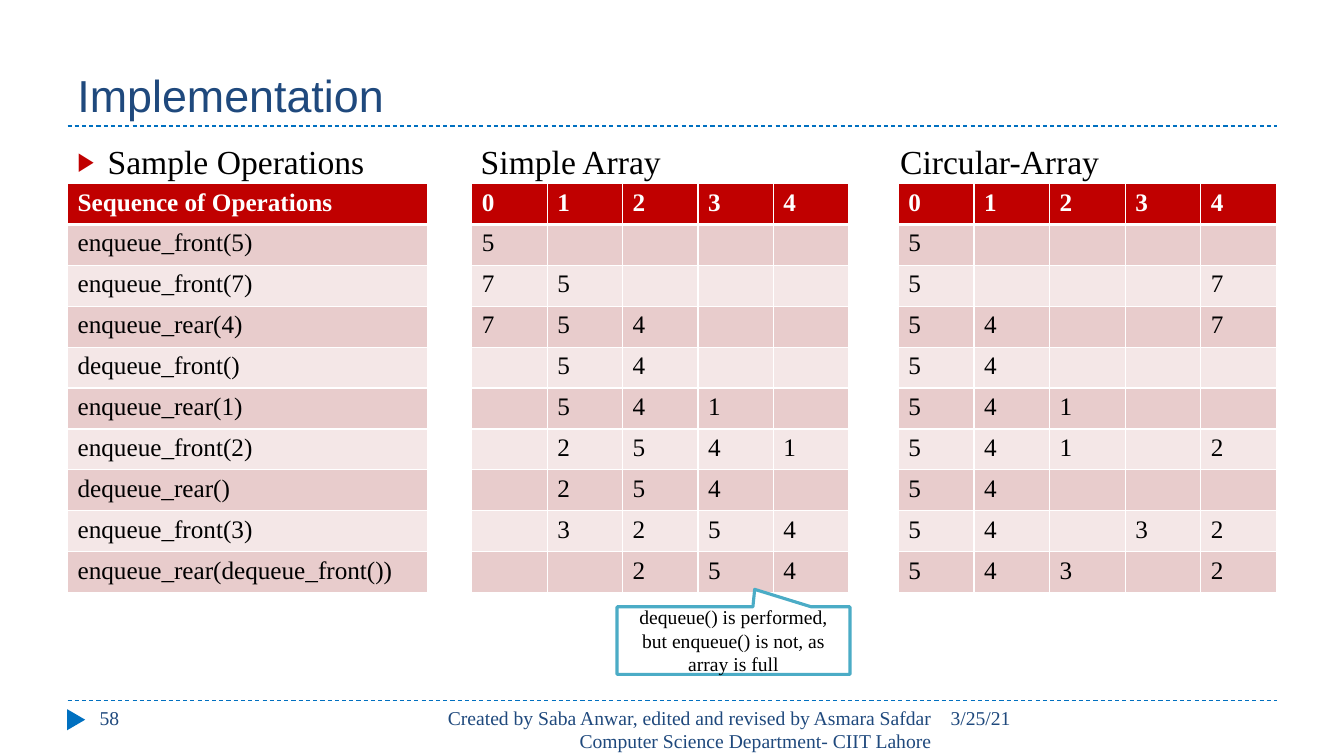
from lxml import etree
from pptx import Presentation
from pptx.dml.color import RGBColor
from pptx.enum import dml, shapes, text
from pptx.oxml import ns
from pptx.util import Inches, Pt

COLORS = {
    "navy": "1F497D", "blue": "0070C0", "red": "C00000", "teal": "4BACC6",
    "dark_band": "E8CCCC", "light_band": "F4E7E7",
    "white": "FFFFFF", "black": "000000",
}
SERIF, SANS = "Times New Roman", "Arial"
LEFT, RIGHT = 0.67, 12.67
TABLE_TOP, TABLE_HEIGHT = 1.82, 4.06
SLOTS = "01234"

OPERATIONS = [
    "enqueue_front(5)", "enqueue_front(7)", "enqueue_rear(4)",
    "dequeue_front()", "enqueue_rear(1)", "enqueue_front(2)",
    "dequeue_rear()", "enqueue_front(3)", "enqueue_rear(dequeue_front())",
]
# One string per row, one character per array slot.
SIMPLE_ARRAY = ["5    ", "75   ", "754  ", " 54  ", " 541 ",
                " 2541", " 254 ", " 3254", "  254"]
CIRCULAR_ARRAY = ["5    ", "5   7", "54  7", "54   ", "541  ",
                  "541 2", "54   ", "54 32", "543 2"]


def rgb(name):
    return RGBColor.from_string(COLORS[name])


def add_xml(parent, tag, **attributes):
    element = etree.SubElement(parent, ns.qn(tag))
    for key, value in attributes.items():
        element.set(key, str(value))
    return element


class SlideBuilder:
    def __init__(self, slide):
        self.shapes = slide.shapes

    def style(self, paragraph, size, color, font=SERIF, bold=False, align=None):
        paragraph.font.size = Pt(size)
        paragraph.font.name = font
        paragraph.font.bold = bold
        paragraph.font.color.rgb = rgb(color)
        if align is not None:
            paragraph.alignment = align

    def text(self, words, x, y, width, height, size=14, color="navy",
             font=SERIF, align=None, anchor=text.MSO_ANCHOR.TOP):
        box = self.shapes.add_textbox(
            Inches(x), Inches(y), Inches(width), Inches(height))
        frame = box.text_frame
        frame.word_wrap = True
        frame.vertical_anchor = anchor
        paragraph = frame.paragraphs[0]
        paragraph.text = words
        self.style(paragraph, size, color, font, align=align)
        return paragraph

    def headings(self, words, tabs):
        """Bulleted line whose parts stand at the given tab stops."""
        paragraph = self.text("\t".join(words), LEFT, 1.35, 12, 0.45, 24, "black")
        props = paragraph._p.get_or_add_pPr()
        props.set("marL", str(Inches(0.3)))
        props.set("indent", str(Inches(-0.3)))
        font_defaults = props.find(ns.qn("a:defRPr"))
        props.remove(font_defaults)
        add_xml(add_xml(props, "a:buClr"), "a:srgbClr", val=COLORS["red"])
        add_xml(props, "a:buSzPct", val=76000)
        add_xml(props, "a:buFont", typeface=SANS)
        add_xml(props, "a:buChar", char="▶")
        stops = add_xml(props, "a:tabLst")
        for tab in tabs:
            add_xml(stops, "a:tab", pos=Inches(tab), algn="l")
        props.append(font_defaults)

    def dashed_rule(self, y):
        rule = self.shapes.add_connector(
            shapes.MSO_CONNECTOR.STRAIGHT,
            Inches(LEFT), Inches(y), Inches(RIGHT), Inches(y))
        rule.line.color.rgb = rgb("blue")
        rule.line.width = Pt(0.75)
        rule.line.dash_style = dml.MSO_LINE.DASH
        add_xml(rule._element.spPr, "a:effectLst")

    def shape(self, kind, x, y, width, height, fill, line=None):
        shape = self.shapes.add_shape(
            kind, Inches(x), Inches(y), Inches(width), Inches(height))
        shape.shadow.inherit = False
        shape.fill.solid()
        shape.fill.fore_color.rgb = rgb(fill)
        if line:
            shape.line.color.rgb = rgb(line)
            shape.line.width = Pt(2.25)
        else:
            shape.line.fill.background()
        return shape

    def callout(self, words, x, y, width, height):
        callout = self.shape(shapes.MSO_SHAPE.RECTANGULAR_CALLOUT,
                             x, y, width, height, "white", "teal")
        callout.adjustments[0] = 0.091
        callout.adjustments[1] = -0.758
        frame = callout.text_frame
        frame.word_wrap = True
        frame.vertical_anchor = text.MSO_ANCHOR.MIDDLE
        frame.text = words
        self.style(frame.paragraphs[0], 14, "black", align=text.PP_ALIGN.CENTER)

    def cell(self, cell, words, fill, header):
        props = cell._tc.get_or_add_tcPr()
        for side in ("lnL", "lnR", "lnT", "lnB"):
            weight = 3 if header and side == "lnB" else 1
            border = add_xml(props, f"a:{side}", w=Pt(weight))
            add_xml(add_xml(border, "a:solidFill"), "a:srgbClr", val=COLORS["white"])
        cell.fill.solid()
        cell.fill.fore_color.rgb = rgb(fill)
        paragraph = cell.text_frame.paragraphs[0]
        if words:
            paragraph.text = words
        self.style(paragraph, 18, "white" if header else "black", bold=header)

    def table(self, rows, x, width):
        grid = self.shapes.add_table(
            len(rows), len(rows[0]), Inches(x), Inches(TABLE_TOP),
            Inches(width), Inches(TABLE_HEIGHT)).table
        for i, row in enumerate(rows):
            band = "dark_band" if i % 2 else "light_band"
            for j, words in enumerate(row):
                self.cell(grid.cell(i, j), words.strip(),
                          band if i else "red", header=i == 0)


def main():
    deck = Presentation()
    deck.slide_width, deck.slide_height = Inches(13.33), Inches(7.5)
    builder = SlideBuilder(deck.slides.add_slide(deck.slide_layouts[6]))

    for y in (6.95, 1.25):
        builder.dashed_rule(y)
    page_marker = builder.shape(
        shapes.MSO_SHAPE.ISOSCELES_TRIANGLE, 0.65, 7.05, 0.21, 0.18, "blue")
    page_marker.rotation = 90

    builder.text("Implementation", LEFT, 0.17, 12, 1.08, 32, font=SANS,
                 anchor=text.MSO_ANCHOR.BOTTOM)
    builder.text("3/25/21", 9.33, 6.95, 3.34, 0.4)
    builder.text("Created by Saba Anwar, edited and revised by Asmara Safdar "
                 "Computer Science Department- CIIT Lahore",
                 4.23, 6.95, 5.11, 0.4, align=text.PP_ALIGN.RIGHT)
    builder.text("58", 0.89, 6.95, 2.89, 0.4)

    builder.headings(["Sample Operations", "Simple Array", "Circular-Array"],
                     tabs=(4, 8.16))
    builder.table([SLOTS, *SIMPLE_ARRAY], 4.68, 3.74)
    builder.table([SLOTS, *CIRCULAR_ARRAY], 8.91, 3.75)
    builder.table([[name] for name in ["Sequence of Operations", *OPERATIONS]],
                  LEFT, 3.57)
    builder.callout("dequeue() is performed, but enqueue() is not, as array is full",
                    6.12, 6.02, 2.31, 0.67)
    deck.save("out.pptx")


if __name__ == "__main__":
    main()
